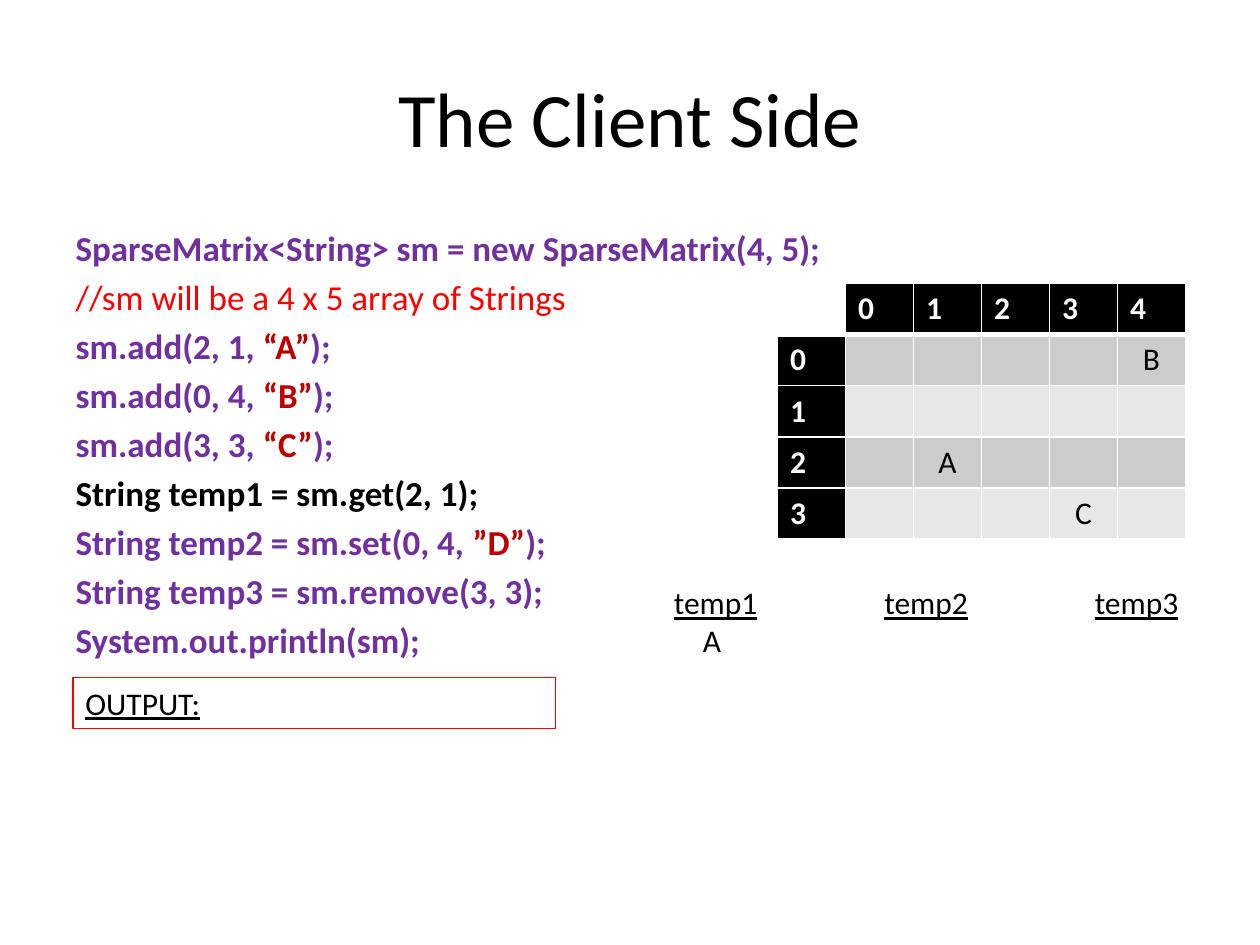
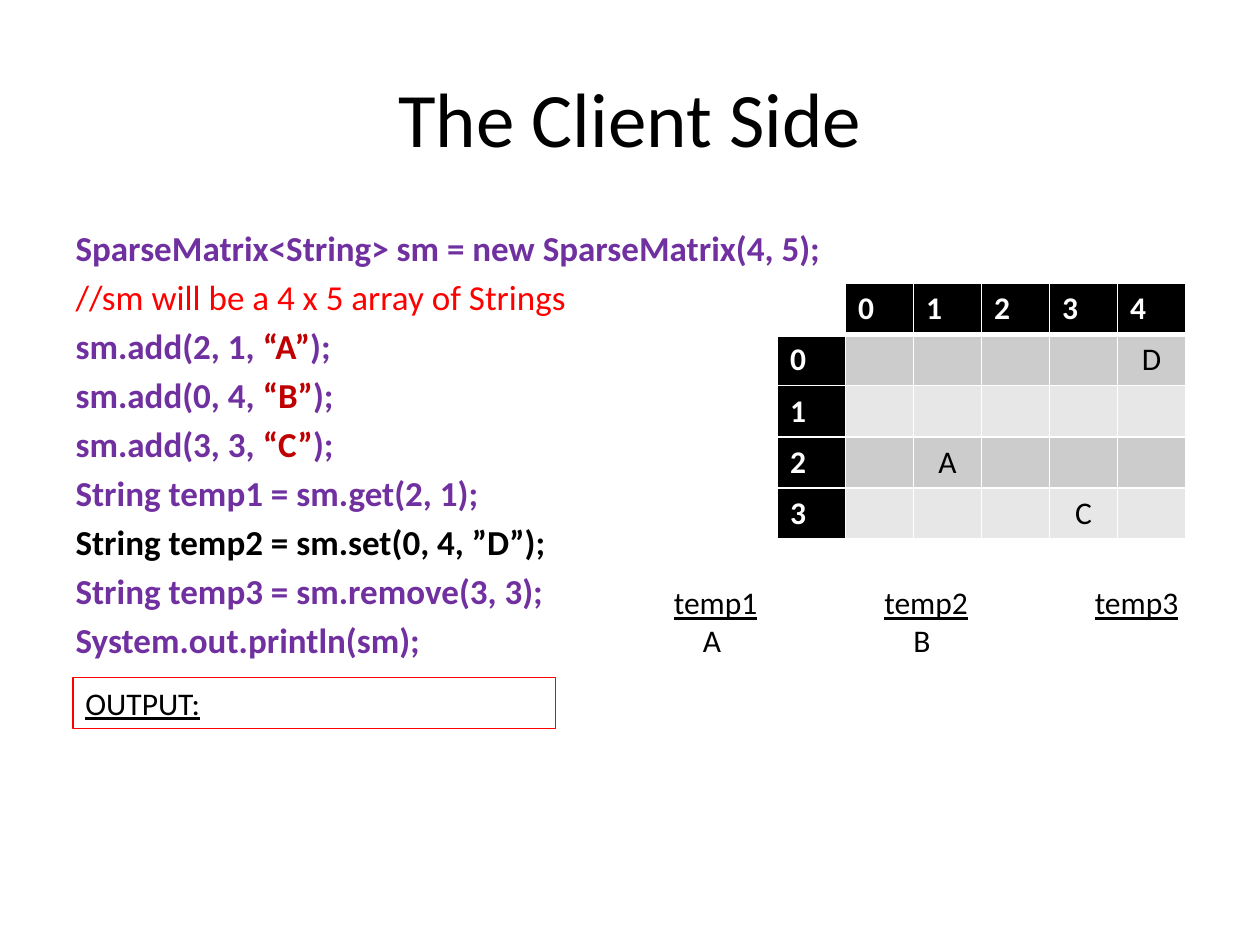
from pptx import Presentation
from pptx.dml.color import RGBColor
from pptx.enum.shapes import MSO_SHAPE
from pptx.enum.text import MSO_ANCHOR, PP_ALIGN
from pptx.oxml.ns import qn
from pptx.util import Inches, Pt
from lxml import etree

CENTER, LEFT = PP_ALIGN.CENTER, PP_ALIGN.LEFT
MIDDLE, TOP = MSO_ANCHOR.MIDDLE, MSO_ANCHOR.TOP
RECT = MSO_SHAPE.RECTANGLE

FONT = "Calibri"
COLORS = {
    "black": "000000", "white": "FFFFFF", "code": "7030A0",
    "comment": "FF0000", "string": "C00000", "odd": "CCCCCC", "even": "E7E7E7",
}

# Content: code lines as (text, colour) runs
TITLE = "The Client Side"
CODE = [
    [("SparseMatrix<String> sm = new SparseMatrix(4, 5);", "code")],
    [("//sm will be a 4 x 5 array of Strings", "comment")],
    [("sm.add(2, 1, ", "code"), ("“A”", "string"), (");", "code")],
    [("sm.add(0, 4, ", "code"), ("“B”", "string"), (");", "code")],
    [("sm.add(3, 3, ", "code"), ("“C”", "string"), (");", "code")],
    [("String temp1 = sm.get(2, 1);", "code")],
    [("String temp2 = sm.set(0, 4, ", "code"), ("”D”", "string"), (");", "code")],
    [("String temp3 = sm.remove(3, 3);", "code")],
    [("System.out.println(sm);", "code")],
]
TEMPS = ["temp1", "temp2", "temp3"]
OUTPUT = "OUTPUT:"
# Each step: the code line being run, the matrix entries, the temps so far
STEPS = [
    {"line": 5, "matrix": {(0, 4): "B", (2, 1): "A", (3, 3): "C"}, "temps": ["A"]},
    {"line": 6, "matrix": {(0, 4): "D", (2, 1): "A", (3, 3): "C"}, "temps": ["A", "B"]},
]

# Layout
ROWS, COLS = 4, 5
MATRIX_LEFT, MATRIX_TOP, CELL_W, CELL_H = 6.17, 2.25, 0.54, 0.4
TEMP_PITCH, VALUE_INDENT = 1.67, 0.23


def rgb(name):
    return RGBColor.from_string(COLORS[name])


def add_run(p, text, size, color="black", bold=False, underline=False):
    r = p.add_run()
    r.text = text
    f = r.font
    f.name, f.size, f.bold, f.underline = FONT, Pt(size), bold, underline
    f.color.rgb = rgb(color)


def place(sp, left, top, width, height):
    sp.left, sp.top = Inches(left), Inches(top)
    sp.width, sp.height = Inches(width), Inches(height)


def add_tabs(p, stops):
    tabs = etree.SubElement(p._p.get_or_add_pPr(), qn("a:tabLst"))
    for stop in stops:
        etree.SubElement(tabs, qn("a:tab"), pos=str(Inches(stop)), algn="l")


def set_borders(cell, widths):
    tcPr = cell._tc.get_or_add_tcPr()
    for side, width in widths.items():
        ln = etree.SubElement(tcPr, qn("a:ln" + side), w=str(Pt(width)))
        fill = etree.SubElement(ln, qn("a:solidFill"))
        etree.SubElement(fill, qn("a:srgbClr"), val=COLORS["white"])


def add_title(s):
    sp = s.shapes.title
    place(sp, 0.5, 0.3, 9, 1.25)
    sp.text_frame.vertical_anchor = MIDDLE
    p = sp.text_frame.paragraphs[0]
    p.alignment = CENTER
    add_run(p, TITLE, 44)


def add_code(s, current):
    sp = s.placeholders[1]
    place(sp, 0.5, 1.75, 9, 4.95)
    tf = sp.text_frame
    tf.vertical_anchor = TOP
    for i, line in enumerate(CODE):
        p = tf.paragraphs[0] if i == 0 else tf.add_paragraph()
        p.space_before = Pt(4 if i else 0)
        pPr = p._p.get_or_add_pPr()
        pPr.set("marL", "0")
        pPr.set("indent", "0")
        etree.SubElement(pPr, qn("a:buNone"))
        for text, color in line:
            add_run(p, text, 20, "black" if i == current else color,
                    bold=color != "comment")


def add_matrix(s, entries):
    n_rows, n_cols = ROWS + 1, COLS + 1
    table = s.shapes.add_table(
        n_rows, n_cols, Inches(MATRIX_LEFT), Inches(MATRIX_TOP),
        Inches(CELL_W * n_cols), Inches(CELL_H * n_rows)).table
    for row in range(n_rows):
        for col in range(n_cols):
            cell = table.cell(row, col)
            set_borders(cell, {"L": 1, "R": 1, "T": 3 if row == 1 else 1,
                               "B": 3 if row == 0 else 1})
            header = row == 0 or col == 0
            if row == col == 0:
                fill, text = "white", ""
            elif header:
                fill, text = "black", str(max(row, col) - 1)
            else:
                fill = "odd" if row % 2 else "even"
                text = entries.get((row - 1, col - 1), "")
            cell.fill.solid()
            cell.fill.fore_color.rgb = rgb(fill)
            if text:
                p = cell.text_frame.paragraphs[0]
                p.alignment = LEFT if header else CENTER
                add_run(p, text, 18, "white" if header else "black", bold=header)


def add_temps(s, values):
    sp = s.shapes.add_textbox(Inches(5.25), Inches(4.58), Inches(4.25), Inches(0.71))
    tf = sp.text_frame
    tf.word_wrap = True
    # Names start at the margin, values are set in under them
    p = tf.paragraphs[0]
    add_tabs(p, [TEMP_PITCH * i for i in range(1, len(TEMPS))])
    for i, name in enumerate(TEMPS):
        if i:
            add_run(p, "\t", 18)
        add_run(p, name, 18, underline=True)
    p = tf.add_paragraph()
    add_tabs(p, [TEMP_PITCH * i + VALUE_INDENT for i in range(len(values))])
    for value in values:
        add_run(p, "\t" + value, 18)


def add_output(s):
    sp = s.shapes.add_shape(RECT, Inches(0.58), Inches(5.38), Inches(3.83), Inches(0.4))
    sp.shadow.inherit = False
    sp.fill.background()
    sp.line.color.rgb = rgb("comment")
    sp.line.width = Pt(0.75)
    tf = sp.text_frame
    tf.word_wrap = True
    tf.vertical_anchor = TOP
    p = tf.paragraphs[0]
    p.alignment = LEFT
    add_run(p, OUTPUT, 18, underline=True)


def main():
    prs = Presentation()
    prs.slide_width, prs.slide_height = Inches(10), Inches(7.5)
    for step in STEPS:
        s = prs.slides.add_slide(prs.slide_layouts[1])
        add_title(s)
        add_code(s, step["line"])
        add_matrix(s, step["matrix"])
        add_temps(s, step["temps"])
        add_output(s)
    prs.save("out.pptx")


if __name__ == "__main__":
    main()
